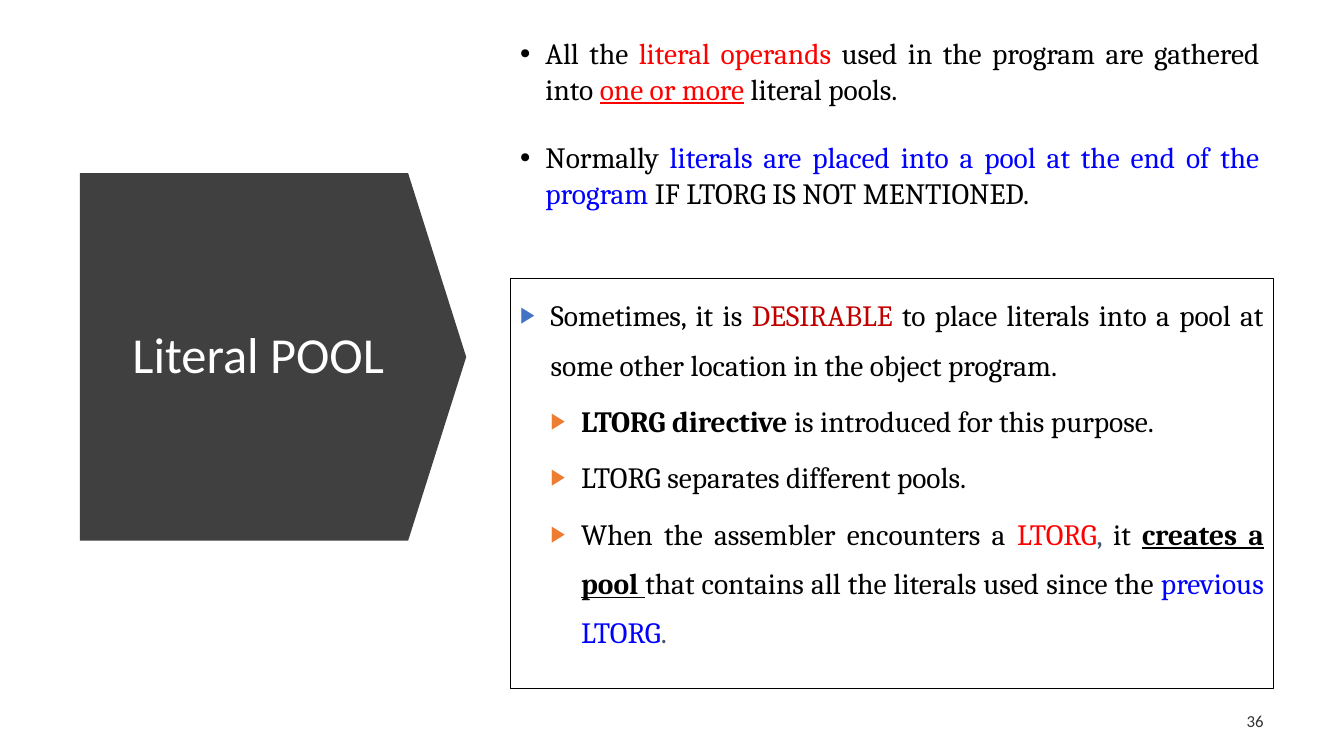
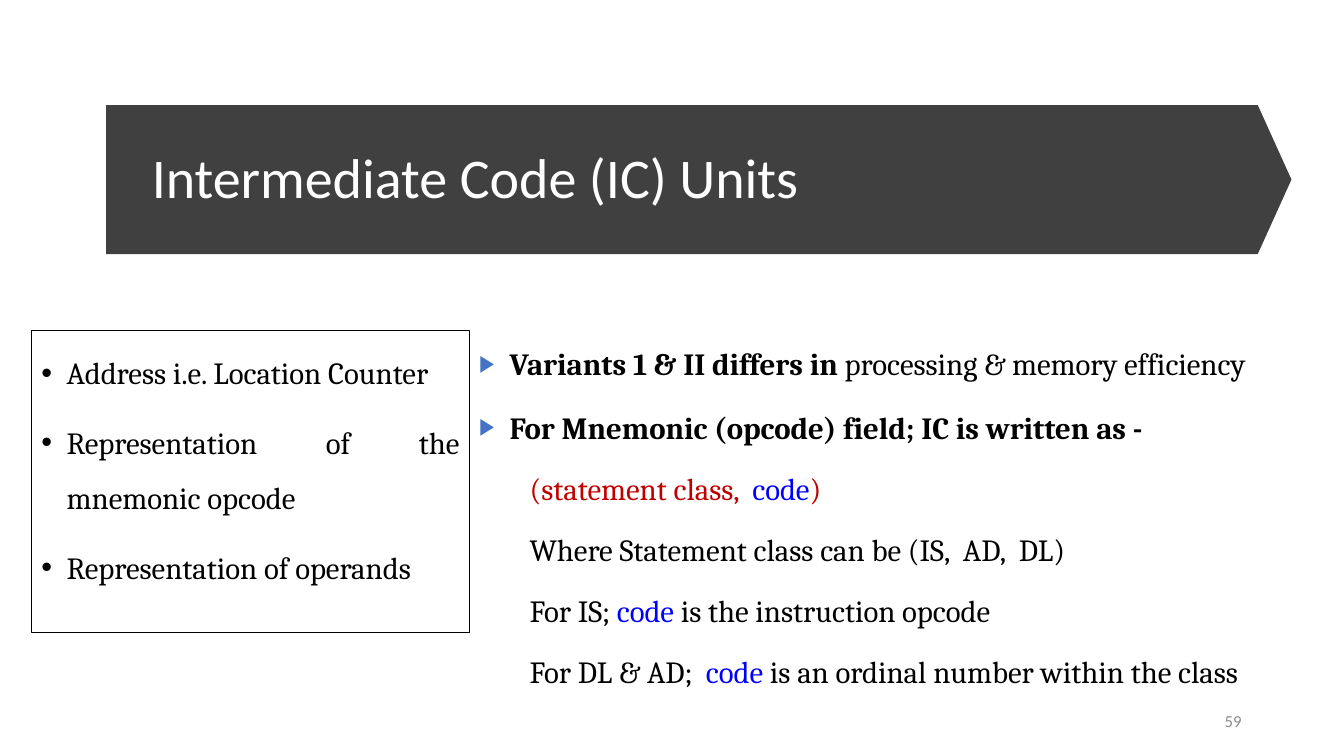
from dataclasses import dataclass
from typing import NamedTuple, Optional, Sequence

from lxml.etree import SubElement
from pptx import Presentation
from pptx.dml.color import RGBColor
from pptx.enum.shapes import MSO_SHAPE
from pptx.enum.text import MSO_ANCHOR, MSO_AUTO_SIZE, PP_ALIGN
from pptx.oxml.ns import qn
from pptx.presentation import Presentation as Deck
from pptx.slide import Slide
from pptx.text.text import TextFrame
from pptx.util import Emu, Pt

EMU_PER_PX = 9525
TITLE_ONLY_LAYOUT = 5


@dataclass(frozen=True)
class Theme:
    heading_font: str = "Calibri"
    body_font: str = "Cambria"
    band: RGBColor = RGBColor(0x40, 0x40, 0x40)
    white: RGBColor = RGBColor(0xFF, 0xFF, 0xFF)
    black: RGBColor = RGBColor(0, 0, 0)
    red: RGBColor = RGBColor(0xFF, 0, 0)
    dark_red: RGBColor = RGBColor(0xC0, 0, 0)
    blue: RGBColor = RGBColor(0, 0, 0xFF)
    slate: RGBColor = RGBColor(0x44, 0x54, 0x6A)
    bullet_blue: RGBColor = RGBColor(0x44, 0x72, 0xC4)
    bullet_orange: RGBColor = RGBColor(0xED, 0x7D, 0x31)
    number_dark: RGBColor = RGBColor(0x33, 0x33, 0x33)
    number_grey: RGBColor = RGBColor(0x8C, 0x8C, 0x8C)
    side_title_size: int = 36
    wide_title_size: int = 40
    pool_size: int = 21
    units_size: int = 22
    number_size: int = 12
    box_line: float = 0.75


THEME = Theme()


class Box(NamedTuple):
    left: int
    top: int
    width: int
    height: int

    def emu(self) -> tuple[Emu, ...]:
        return tuple(px(length) for length in self)


class TextRun(NamedTuple):
    text: str
    color: RGBColor = THEME.black
    bold: bool = False
    underline: bool = False


class Bullet(NamedTuple):
    character: str
    color: RGBColor = THEME.black
    percent: int = 100


class ParagraphStyle(NamedTuple):
    indent: int
    hanging: int
    line_spacing: float = 1.0
    before: int = 0
    after: int = 0
    level: int = 0
    bullet: Optional[Bullet] = None


class Item(NamedTuple):
    style: ParagraphStyle
    runs: Sequence[TextRun]


class TitleBand(NamedTuple):
    text: str
    arrow: Box
    head: float
    text_box: Box
    size: int
    align: PP_ALIGN


DOT = Bullet("•")
BLUE_TRIANGLE = Bullet("▶", THEME.bullet_blue, 76)
ORANGE_TRIANGLE = Bullet("▶", THEME.bullet_orange, 76)

POOL_RULE = ParagraphStyle(24, 24, before=12, after=12, bullet=DOT)
POOL_POINT = ParagraphStyle(29, 29, 1.4, 6, bullet=BLUE_TRIANGLE)
POOL_DETAIL = ParagraphStyle(58, 29, 1.4, 5, level=1, bullet=ORANGE_TRIANGLE)
UNIT = ParagraphStyle(24, 24, 1.5, 10, bullet=DOT)
UNIT_POINT = ParagraphStyle(29, 29, 1.5, 6, bullet=BLUE_TRIANGLE)
UNIT_DETAIL = ParagraphStyle(78, 30, 1.5, 4, level=1)


def px(length: int) -> Emu:
    return Emu(length * EMU_PER_PX)


def add_run(paragraph, text_run: TextRun, font_name: str, size: int) -> None:
    run = paragraph.add_run()
    run.text = text_run.text
    font = run.font
    font.name = font_name
    font.size = Pt(size)
    font.color.rgb = text_run.color
    font.bold = text_run.bold
    font.underline = text_run.underline


def apply_style(paragraph, style: ParagraphStyle) -> None:
    paragraph.alignment = PP_ALIGN.JUSTIFY
    paragraph.level = style.level
    paragraph.line_spacing = style.line_spacing
    paragraph.space_before = Pt(style.before)
    paragraph.space_after = Pt(style.after)
    properties = paragraph._p.get_or_add_pPr()
    properties.set("marL", str(px(style.indent)))
    properties.set("indent", str(px(-style.hanging)))
    if style.bullet is None:
        SubElement(properties, qn("a:buNone"))
        return
    color = SubElement(properties, qn("a:buClr"))
    SubElement(color, qn("a:srgbClr"), val=str(style.bullet.color))
    SubElement(properties, qn("a:buSzPct"), val=str(style.bullet.percent * 1000))
    SubElement(properties, qn("a:buFont"), typeface="Arial")
    SubElement(properties, qn("a:buChar"), char=style.bullet.character)


def add_text_frame(slide: Slide, box: Box, outlined: bool = False) -> TextFrame:
    shape = slide.shapes.add_textbox(*box.emu())
    if outlined:
        shape.line.color.rgb = THEME.black
        shape.line.width = Pt(THEME.box_line)
    shape.text_frame.word_wrap = True
    return shape.text_frame


def add_items(slide: Slide, box: Box, items: Sequence[Item], size: int,
              outlined: bool = False) -> None:
    frame = add_text_frame(slide, box, outlined)
    for index, item in enumerate(items):
        paragraph = frame.add_paragraph() if index else frame.paragraphs[0]
        apply_style(paragraph, item.style)
        for text_run in item.runs:
            add_run(paragraph, text_run, THEME.body_font, size)


def add_number(slide: Slide, number: int, box: Box, color: RGBColor) -> None:
    frame = add_text_frame(slide, box)
    frame.vertical_anchor = MSO_ANCHOR.MIDDLE
    paragraph = frame.paragraphs[0]
    paragraph.alignment = PP_ALIGN.RIGHT
    add_run(paragraph, TextRun(str(number), color), THEME.heading_font, THEME.number_size)


def add_titled_slide(presentation: Deck, band: TitleBand) -> Slide:
    """Add a slide whose title lies on an arrow-shaped band."""
    slide = presentation.slides.add_slide(presentation.slide_layouts[TITLE_ONLY_LAYOUT])
    title = slide.shapes.title
    title.left, title.top, title.width, title.height = band.text_box.emu()
    frame = title.text_frame
    frame.word_wrap = True
    frame.auto_size = MSO_AUTO_SIZE.NONE
    frame.vertical_anchor = MSO_ANCHOR.MIDDLE
    paragraph = frame.paragraphs[0]
    paragraph.alignment = band.align
    paragraph.line_spacing = 0.9
    add_run(paragraph, TextRun(band.text, THEME.white), THEME.heading_font, band.size)

    arrow = slide.shapes.add_shape(MSO_SHAPE.PENTAGON, *band.arrow.emu())
    arrow.adjustments[0] = band.head
    arrow.shadow.inherit = False
    arrow.fill.solid()
    arrow.fill.fore_color.rgb = THEME.band
    arrow.line.fill.background()
    title.element.addprevious(arrow.element)
    return slide


def build_literal_pool(presentation: Deck) -> None:
    slide = add_titled_slide(presentation, TitleBand(
        "Literal POOL", Box(76, 165, 368, 350), 0.158, Box(108, 206, 276, 268),
        THEME.side_title_size, PP_ALIGN.CENTER))
    add_number(slide, 36, Box(1159, 667, 54, 38), THEME.number_dark)
    rules = [
        Item(POOL_RULE, [
            TextRun("All the "),
            TextRun("literal operands ", THEME.red),
            TextRun("used in the program are gathered into "),
            TextRun("one or more", THEME.red, underline=True),
            TextRun(" literal pools."),
        ]),
        Item(POOL_RULE, [
            TextRun("Normally "),
            TextRun("literals are placed into a pool at the end of the program", THEME.blue),
            TextRun(" IF LTORG IS NOT MENTIONED."),
        ]),
    ]
    add_items(slide, Box(486, 29, 723, 201), rules, THEME.pool_size)
    directive = [
        Item(POOL_POINT, [
            TextRun("Sometimes, it is "),
            TextRun("DESIRABLE", THEME.dark_red),
            TextRun(" to place literals into a pool at some other location"
                    " in the object program."),
        ]),
        Item(POOL_DETAIL, [
            TextRun("LTORG directive", bold=True),
            TextRun(" is introduced for this purpose."),
        ]),
        Item(POOL_DETAIL, [TextRun("LTORG separates different pools.")]),
        Item(POOL_DETAIL, [
            TextRun("When the assembler encounters a "),
            TextRun("LTORG", THEME.red),
            TextRun(", ", THEME.slate),
            TextRun("it "),
            TextRun("creates a pool ", bold=True, underline=True),
            TextRun("that contains all the literals used since the "),
            TextRun("previous LTORG", THEME.blue),
            TextRun(".", THEME.slate),
        ]),
    ]
    add_items(slide, Box(486, 265, 727, 391), directive, THEME.pool_size, outlined=True)


def build_code_units(presentation: Deck) -> None:
    slide = add_titled_slide(presentation, TitleBand(
        "Intermediate Code (IC) Units", Box(101, 100, 1129, 142), 0.226,
        Box(135, 127, 1052, 90), THEME.wide_title_size, PP_ALIGN.LEFT))
    add_number(slide, 59, Box(904, 667, 288, 38), THEME.number_grey)
    units = [Item(UNIT, [TextRun(text)]) for text in (
        "Address i.e. Location Counter",
        "Representation of the mnemonic opcode",
        "Representation of operands",
    )]
    add_items(slide, Box(30, 315, 417, 287), units, THEME.units_size, outlined=True)
    code = TextRun("code", THEME.blue)
    notes = [
        Item(UNIT_POINT, [
            TextRun("Variants 1 & II differs in ", bold=True),
            TextRun("processing & memory efficiency"),
        ]),
        Item(UNIT_POINT, [
            TextRun("For Mnemonic (opcode) field; IC is written as -", bold=True),
        ]),
        Item(UNIT_DETAIL, [
            TextRun("(statement class,  ", THEME.dark_red),
            code,
            TextRun(")", THEME.dark_red),
        ]),
        Item(UNIT_DETAIL, [TextRun("Where Statement class can be (IS,  AD,  DL)")]),
        Item(UNIT_DETAIL, [
            TextRun("For IS; "), code, TextRun(" is the instruction opcode"),
        ]),
        Item(UNIT_DETAIL, [
            TextRun("For DL & AD;  "), code,
            TextRun(" is an ordinal number within the class"),
        ]),
    ]
    add_items(slide, Box(447, 306, 776, 399), notes, THEME.units_size)


def main() -> None:
    presentation = Presentation()
    presentation.slide_width = px(1280)
    presentation.slide_height = px(720)
    build_literal_pool(presentation)
    build_code_units(presentation)
    presentation.save("out.pptx")


if __name__ == "__main__":
    main()
